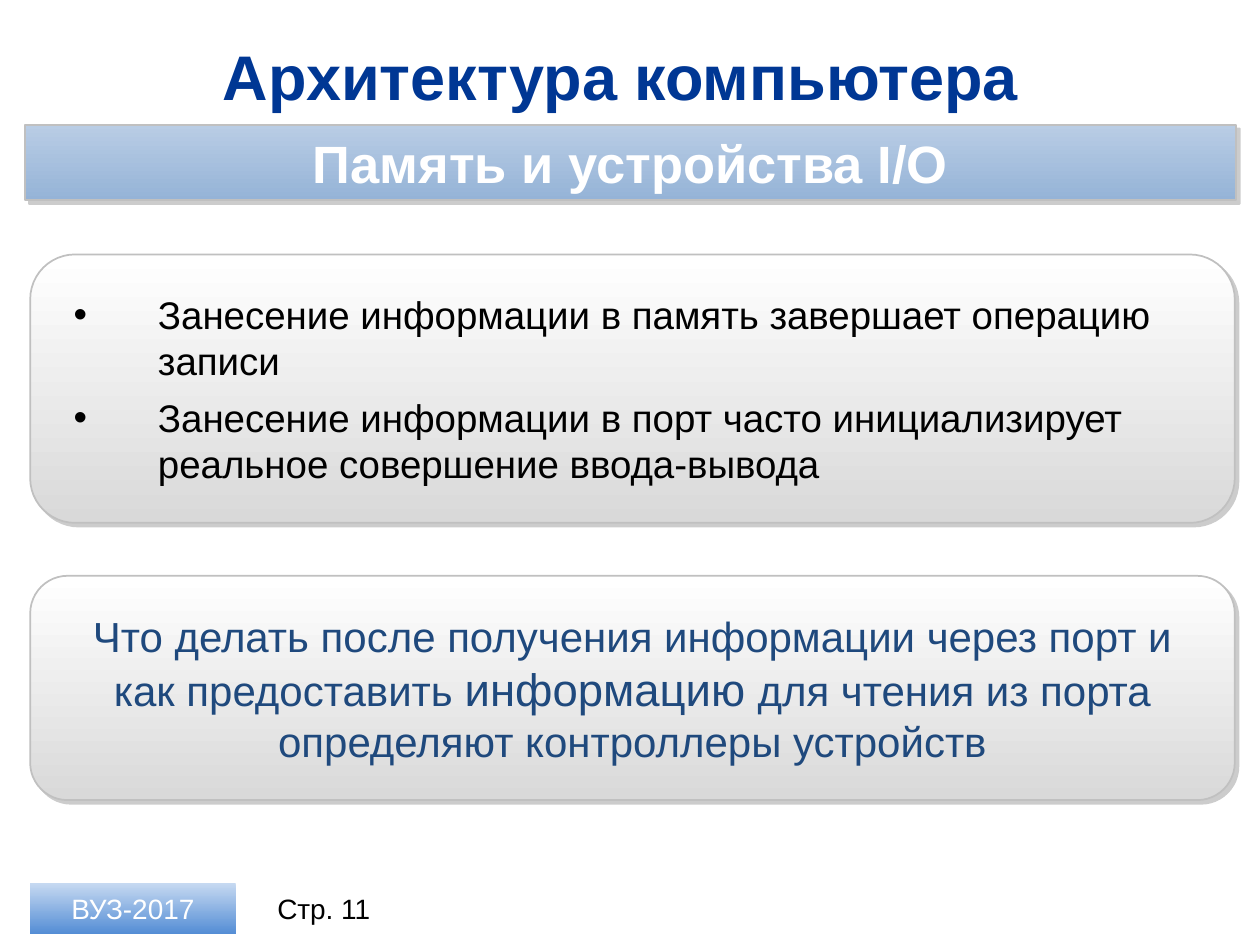
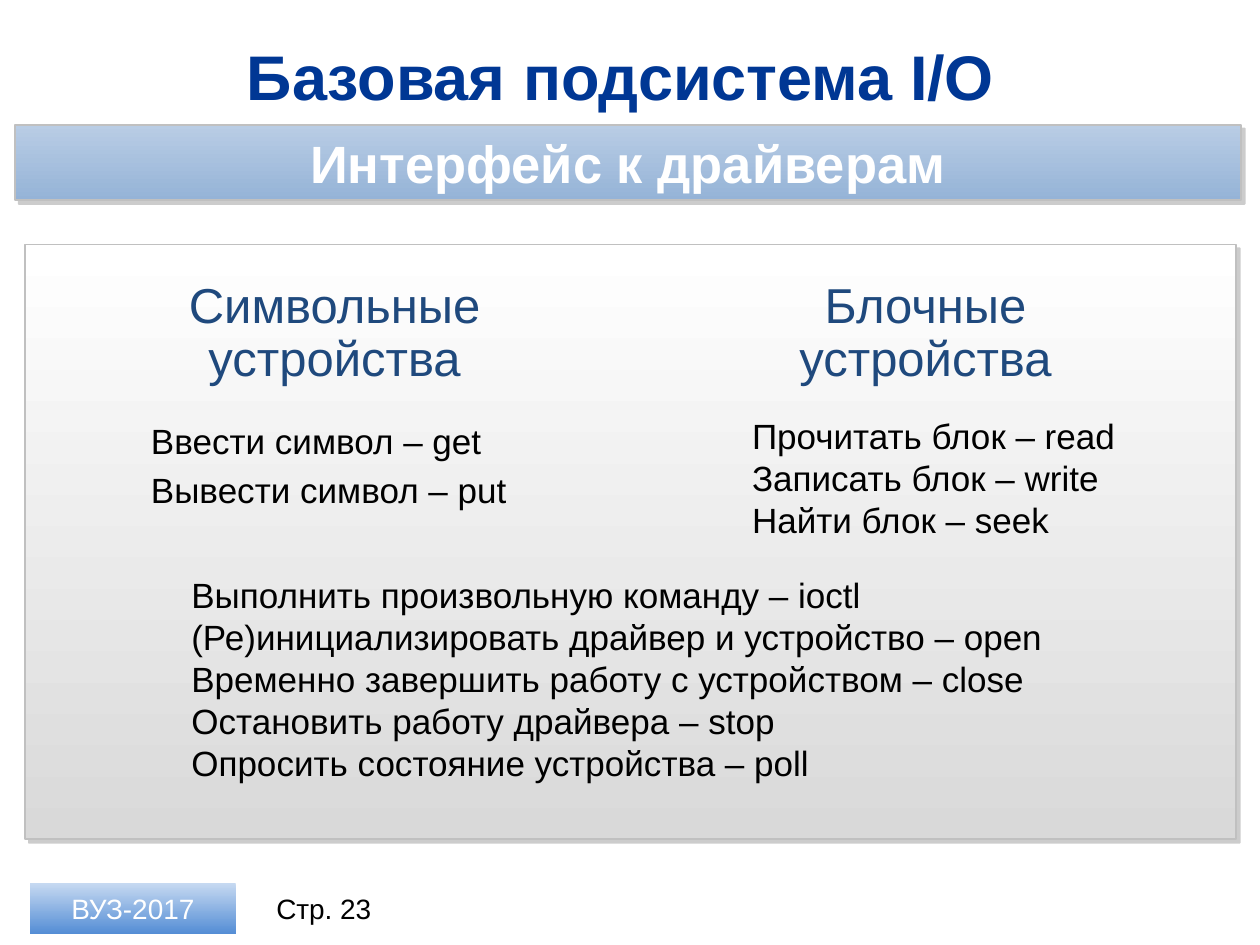
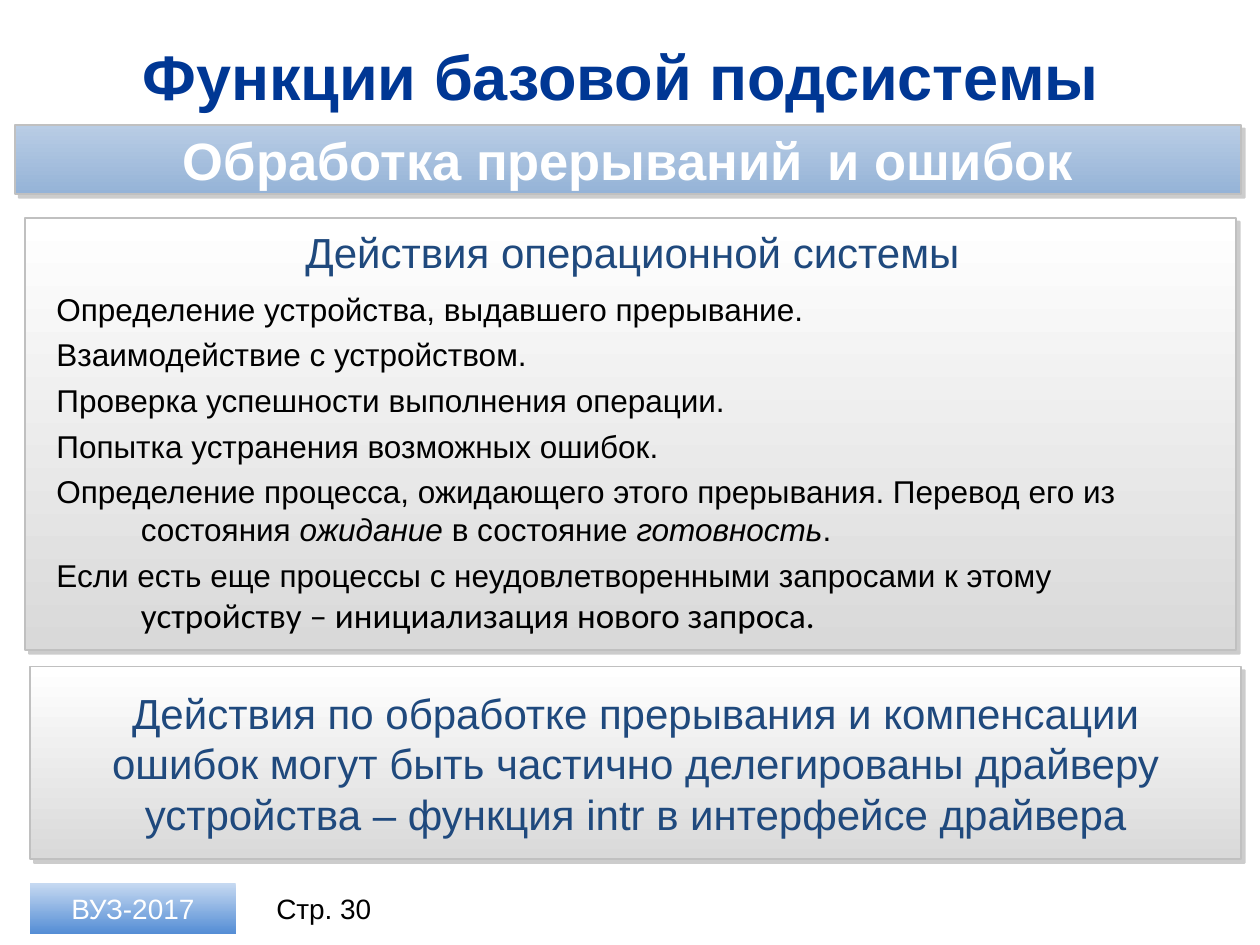
from dataclasses import dataclass

from lxml.etree import SubElement
from pptx import Presentation
from pptx.dml.color import RGBColor
from pptx.enum.shapes import MSO_SHAPE
from pptx.enum.text import MSO_ANCHOR, PP_ALIGN
from pptx.oxml.ns import qn
from pptx.util import Inches, Pt


@dataclass(frozen=True)
class Theme:
    font: str = "Arial"
    accent_font: str = "Calibri"
    title: str = "003794"
    heading: str = "1F497D"
    body: str = "000000"
    light: str = "FFFFFF"
    outline: str = "C0C0C0"
    shadow: str = "808080"
    band_fill: tuple = ("B9CDE5", "95B3D7")
    panel_fill: tuple = ("FFFFFF", "D9D9D9")
    footer_fill: tuple = ("C6D9F1", "558ED5")
    title_size: int = 36
    band_size: int = 30
    column_size: int = 28
    emphasis_size: int = 26
    heading_size: int = 24
    bullet_size: int = 22
    list_size: int = 20
    action_size: int = 18
    footer_size: int = 16


theme = Theme()


def add_panel(slide, box, colors, outlined=True, kind=MSO_SHAPE.RECTANGLE):
    panel = slide.shapes.add_shape(kind, *map(Inches, box))
    panel.fill.gradient()
    panel.fill.gradient_angle = 270
    for stop, color in zip(panel.fill.gradient_stops, colors):
        stop.color.rgb = RGBColor.from_string(color)
    panel.shadow.inherit = False
    if not outlined:
        panel.line.fill.background()
        return panel
    panel.line.color.rgb = RGBColor.from_string(theme.outline)
    panel.line.width = Pt(1)
    effects = panel._element.spPr.find(qn("a:effectLst"))
    shadow = SubElement(effects, qn("a:outerShdw"), dist=str(Pt(3)), dir="2700000", algn="tl", rotWithShape="0")
    color = SubElement(shadow, qn("a:srgbClr"), val=theme.shadow)
    SubElement(color, qn("a:alpha"), val="40000")
    frame = panel.text_frame
    frame.margin_left = frame.margin_right = Inches(0.24)
    frame.margin_top = frame.margin_bottom = Inches(0.04)
    return panel


def write(holder, paragraphs, size, color, align=PP_ALIGN.LEFT, anchor=MSO_ANCHOR.MIDDLE,
          bold=False, before=0, spacing=None, hanging=0, bullet=None):
    frame = holder.text_frame
    frame.word_wrap = True
    frame.vertical_anchor = anchor
    for index, runs in enumerate(paragraphs):
        paragraph = frame.add_paragraph() if index else frame.paragraphs[0]
        if hanging:
            properties = paragraph._p.get_or_add_pPr()
            properties.set("marL", str(Inches(hanging)))
            properties.set("indent", str(-Inches(hanging)))
            if bullet:
                SubElement(properties, qn("a:buFont"), typeface=theme.font)
                SubElement(properties, qn("a:buChar"), char=bullet)
        paragraph.alignment = align
        paragraph.space_before = Pt(before)
        if spacing:
            paragraph.line_spacing = spacing
        paragraph.font.name = theme.font
        paragraph.font.size = Pt(size)
        paragraph.font.bold = bold
        paragraph.font.color.rgb = RGBColor.from_string(color)
        for text, changes in [(runs, {})] if isinstance(runs, str) else runs:
            run = paragraph.add_run()
            run.text = text
            for attribute, value in changes.items():
                setattr(run.font, attribute, value)


deck = Presentation()
deck.slide_width, deck.slide_height = Inches(10), Inches(7.5)

topics = [
    ("Архитектура компьютера ", "Память и устройства I/O", (0.2, 0.99, 9.61, 0.6), 11),
    ("Базовая подсистема I/O ", "Интерфейс к драйверам", (0.12, 0.99, 9.73, 0.6), 23),
    ("Функции базовой подсистемы ", "Обработка прерываний\t и ошибок", (0.12, 0.99, 9.73, 0.55), 30),
]
slides = []
for title, subtitle, band_box, page in topics:
    slide = deck.slides.add_slide(deck.slide_layouts[6])
    slides.append(slide)
    heading = slide.shapes.add_textbox(*map(Inches, (0.35, 0.26, 9.29, 0.68)))
    write(heading, [title], theme.title_size, theme.title, PP_ALIGN.CENTER, bold=True)
    band = add_panel(slide, band_box, theme.band_fill)
    write(band, [subtitle], theme.band_size, theme.light, PP_ALIGN.CENTER, bold=True)
    badge = add_panel(slide, (0.24, 7.01, 1.63, 0.4), theme.footer_fill, outlined=False)
    write(badge, ["ВУЗ-2017"], theme.footer_size, theme.light, PP_ALIGN.CENTER)
    page_label = slide.shapes.add_textbox(*map(Inches, (2.03, 7.01, 1.08, 0.4)))
    write(page_label, [f"Стр. {page}"], theme.footer_size, theme.body, PP_ALIGN.CENTER)

memory, drivers, interrupts = slides

writing = add_panel(memory, (0.24, 2.02, 9.56, 2.13), theme.panel_fill, kind=MSO_SHAPE.ROUNDED_RECTANGLE)
write(writing, [
    "Занесение информации в память завершает операцию записи",
    "Занесение информации в порт часто инициализирует реальное совершение ввода-вывода",
], theme.bullet_size, theme.body, before=6, hanging=0.67, bullet="•")

controllers = add_panel(memory, (0.24, 4.57, 9.56, 1.78), theme.panel_fill, kind=MSO_SHAPE.ROUNDED_RECTANGLE)
write(controllers, [[
    ("Что делать после получения информации через порт и как предоставить ", {}),
    ("информацию", {"size": Pt(theme.emphasis_size)}),
    (" для чтения из порта определяют контроллеры устройств", {}),
]], theme.heading_size, theme.heading, PP_ALIGN.CENTER)

add_panel(drivers, (0.2, 1.94, 9.61, 4.72), theme.panel_fill)
for left, device_kind in [(1.06, "Символьные устройства"), (5.75, "Блочные устройства")]:
    column_heading = drivers.shapes.add_textbox(*map(Inches, (left, 2.18, 3.19, 0.94)))
    write(column_heading, [device_kind], theme.column_size, theme.heading, PP_ALIGN.CENTER,
          MSO_ANCHOR.TOP, spacing=0.9)

operations = [
    ((1.1, 3.28, 3.7, 0.83), 4, ["Ввести символ – get", "Вывести символ – put"]),
    ((5.87, 3.24, 3.78, 1.1), 0, ["Прочитать блок – read", "Записать блок – write", "Найти блок – seek"]),
    ((1.42, 4.5, 7.68, 1.77), 0, [
        "Выполнить произвольную команду – ioctl",
        "(Ре)инициализировать драйвер и устройство – open",
        "Временно завершить работу с устройством – close",
        "Остановить работу драйвера – stop",
        "Опросить состояние устройства – poll",
    ]),
]
for box, gap, commands in operations:
    command_list = drivers.shapes.add_textbox(*map(Inches, box))
    write(command_list, commands, theme.list_size, theme.body, anchor=MSO_ANCHOR.TOP, before=gap)

add_panel(interrupts, (0.2, 1.73, 9.61, 3.43), theme.panel_fill)
actions_heading = interrupts.shapes.add_textbox(*map(Inches, (0.35, 1.75, 9.34, 0.5)))
write(actions_heading, ["Действия операционной системы"], theme.heading_size, theme.heading,
      PP_ALIGN.CENTER, MSO_ANCHOR.TOP)
actions = interrupts.shapes.add_textbox(*map(Inches, (0.35, 2.25, 9.34, 2.77)))
write(actions, [
    "Определение устройства, выдавшего прерывание.",
    "Взаимодействие с устройством.",
    "Проверка успешности выполнения операции.",
    "Попытка устранения возможных ошибок.",
    [
        ("Определение процесса, ожидающего этого прерывания. Перевод его из состояния ", {}),
        ("ожидание", {"italic": True}),
        (" в состояние ", {}),
        ("готовность", {"italic": True}),
        (".", {}),
    ],
    [
        ("Если есть еще процессы с неудовлетворенными запросами к этому ", {}),
        ("устройству – инициализация нового запроса.",
         {"name": theme.accent_font, "size": Pt(theme.list_size)}),
    ],
], theme.action_size, theme.body, anchor=MSO_ANCHOR.TOP, before=4.5, hanging=0.67)

delegation = add_panel(interrupts, (0.24, 5.29, 9.61, 1.53), theme.panel_fill)
write(delegation, [
    "Действия по обработке прерывания и компенсации ошибок могут быть частично делегированы "
    "драйверу устройства – функция intr в интерфейсе драйвера",
], theme.heading_size, theme.heading, PP_ALIGN.CENTER)

deck.save("out.pptx")
